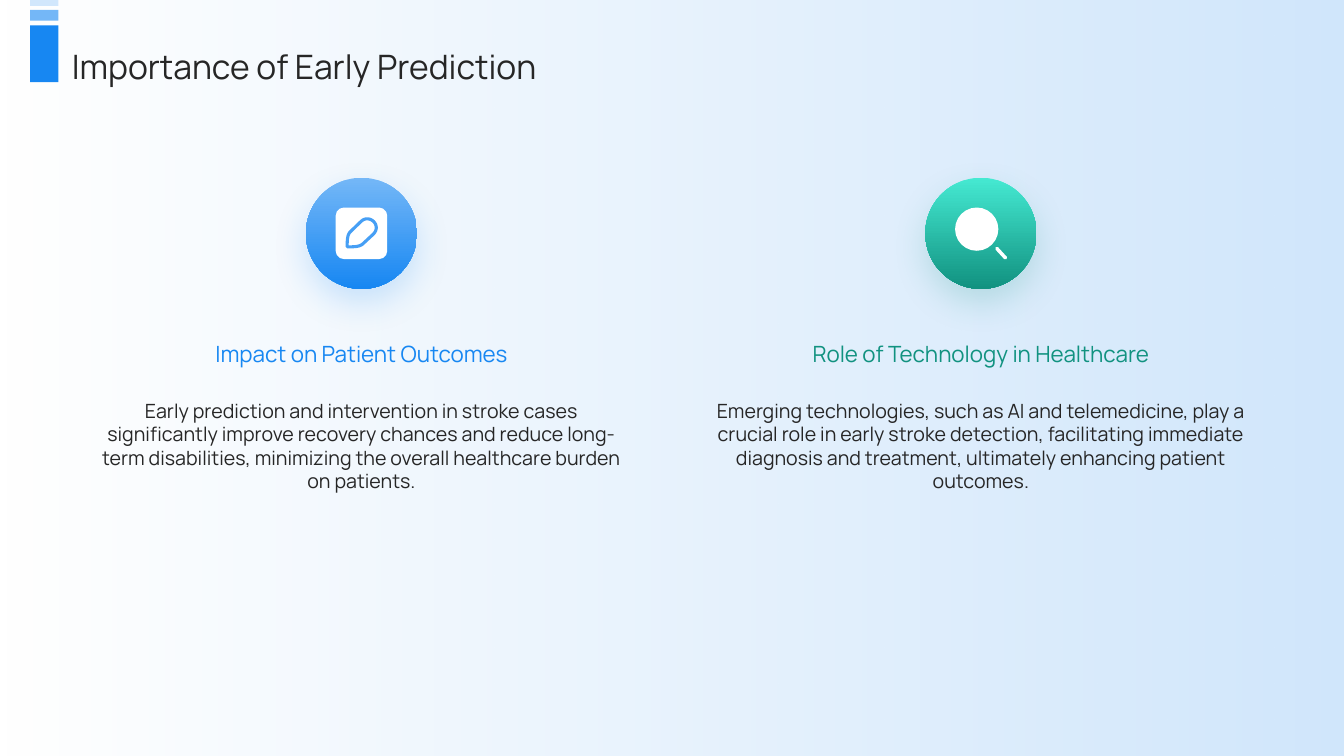
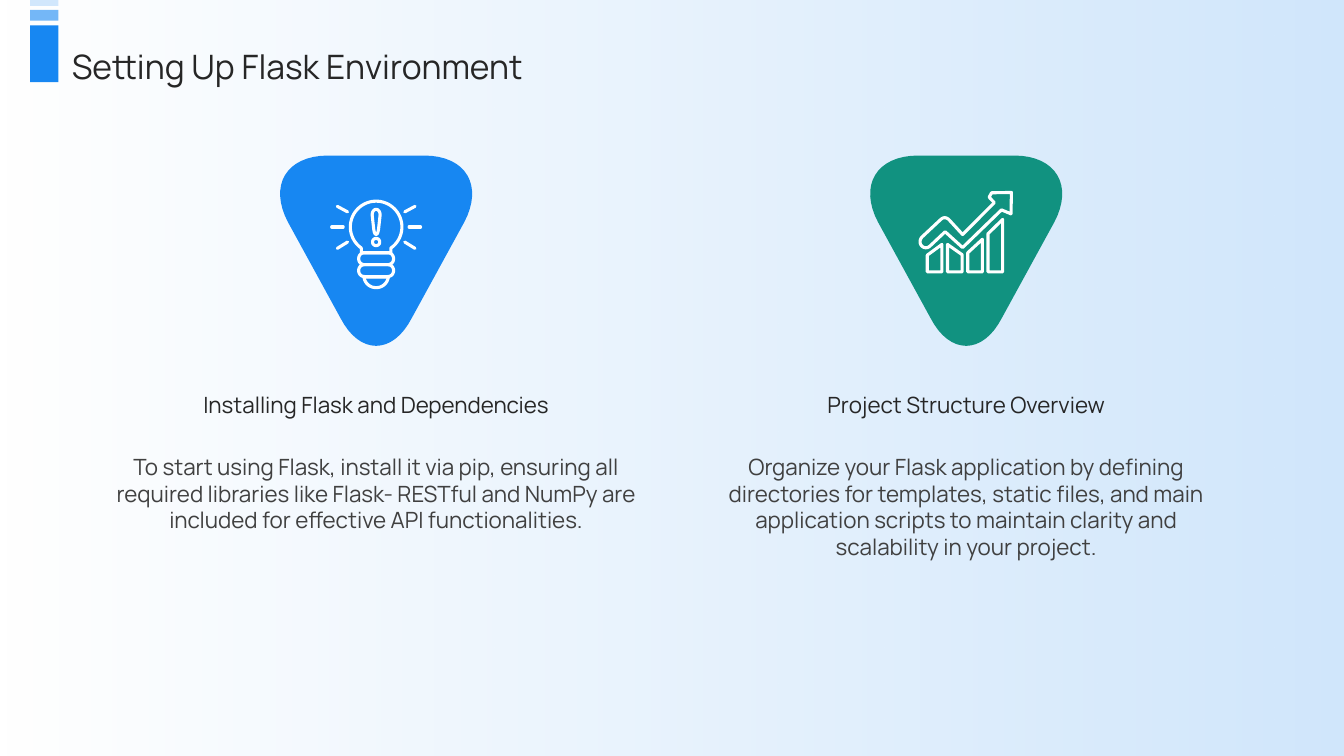
"""Builds two slides on early stroke prediction and on setting up Flask."""
from math import cos, radians, sin

from lxml.etree import SubElement
from pptx import Presentation
from pptx.dml.color import RGBColor
from pptx.enum.shapes import MSO_CONNECTOR, MSO_SHAPE
from pptx.enum.text import MSO_ANCHOR, PP_ALIGN
from pptx.oxml.ns import qn
from pptx.util import Cm, Pt

BLUE = RGBColor(0x17, 0x87, 0xF2)
LIGHT_BLUE = RGBColor(0x74, 0xB7, 0xF7)
MID_BLUE = RGBColor(0x46, 0x9F, 0xF5)
PALE_BLUE = RGBColor(0xD1, 0xE7, 0xFC)
GREEN = RGBColor(0x11, 0x92, 0x80)
LIGHT_GREEN = RGBColor(0x45, 0xE9, 0xD2)
WHITE = RGBColor(0xFF, 0xFF, 0xFF)
DARK = RGBColor(0x26, 0x26, 0x26)
GREY = RGBColor(0x40, 0x40, 0x40)
FONT = "Manrope"
STROKE = Pt(2.2)
WIDTH, HEIGHT = 33.87, 19.05


def paint(sp, fill=None, line=None):
    """Give a shape a flat fill and outline, either of which may be absent."""
    sp.shadow.inherit = False
    for part, color in ((sp.fill, fill), (sp.line.fill, line)):
        if color is None:
            part.background()
        else:
            part.solid()
            part.fore_color.rgb = color
    if line is not None:
        sp.line.width = STROKE
        sp.element.spPr.find(qn("a:ln")).set("cap", "rnd")
    return sp


def trace(s, x, y, paths, fill=None, line=None):
    """Draw closed paths of points and cubic curves as one shape, in cm from (x, y)."""
    builder = None
    for path in paths:
        points = [path[0]]
        for step in path[1:]:
            if len(step) == 2:
                points.append(step)
                continue
            controls = [points[-1], step[:2], step[2:4], step[4:]]
            for i in range(1, 17):
                t = i / 16
                weights = ((1 - t) ** 3, 3 * t * (1 - t) ** 2, 3 * t * t * (1 - t), t ** 3)
                points.append(tuple(sum(w * c[k] for w, c in zip(weights, controls))
                                    for k in (0, 1)))
        points = [(Cm(x + px), Cm(y + py)) for px, py in points]
        if builder is None:
            builder = s.shapes.build_freeform(*points[0])
        else:
            builder.move_to(*points[0])
        builder.add_line_segments(points[1:], close=True)
    return paint(builder.convert_to_shape(), fill, line)


TRIANGLE = [(1.21, 0), (2.27, 0, 2.71, 0.76, 2.22, 1.68), (0.9, 4.09),
            (0.42, 5.03, -0.42, 5.03, -0.9, 4.09), (-2.22, 1.68),
            (-2.71, 0.76, -2.27, 0, -1.21, 0)]
PENCIL = [(-0.28, -0.04), (-0.01, -0.3), (0.2, -0.5, 0.52, -0.2, 0.3, 0.02), (0.03, 0.27),
          (-0.06, 0.35, -0.25, 0.34, -0.36, 0.34), (-0.36, 0.2, -0.36, 0.04, -0.28, -0.04)]
EXCLAMATION = [(-0.1, 1.5), (-0.1, 1.31, 0.1, 1.31, 0.1, 1.5), (0.06, 1.86),
               (0.04, 2.03, -0.04, 2.03, -0.06, 1.86)]
BULB_TIP = [(-0.31, 3.06), (-0.25, 3.42, 0.25, 3.42, 0.31, 3.06)]
GROWTH_ARROW = [(1.14, 0.93), (1.13, 1.47), (0.89, 1.37), (-0.09, 2.32), (-0.53, 1.92),
                (-0.91, 2.28), (-1.05, 2.41, -1.25, 2.23, -1.12, 2.06), (-0.65, 1.62),
                (-0.58, 1.55, -0.5, 1.55, -0.43, 1.62), (-0.09, 1.99), (0.71, 1.19),
                (0.58, 1.05), (0.64, 0.94)]
BAR_TOPS = [(2.51, 2.24), (2.24, 2.5), (2.45, 2.11), (1.97, 1.61)]
RAYS = [(0.72, 1.42, 0.98, 1.28), (0.83, 1.8, 1.12, 1.8), (0.72, 2.18, 0.98, 2.34)]
MARKS = [(0.64, 1.43, BLUE), (0.25, 0.27, LIGHT_BLUE), (0, 0.15, PALE_BLUE)]

DECK = [
    ("Importance of Early Prediction", 13.51, 7.72, 10.05, 14, DARK, [
        (9.11, BLUE, "Impact on Patient Outcomes",
         "Early prediction and intervention in stroke cases significantly improve recovery "
         "chances and reduce long- term disabilities, minimizing the overall healthcare "
         "burden on patients."),
        (24.72, GREEN, "Role of Technology in Healthcare",
         "Emerging technologies, such as AI and telemedicine, play a crucial role in early "
         "stroke detection, facilitating immediate diagnosis and treatment, ultimately "
         "enhancing patient outcomes."),
    ]),
    ("Setting Up Flask Environment", 13.1, 9.01, 11.41, 16, GREY, [
        (9.48, DARK, "Installing Flask and Dependencies",
         "To start using Flask, install it via pip, ensuring all required libraries like "
         "Flask- RESTful and NumPy are included for effective API functionalities."),
        (24.35, DARK, "Project Structure Overview",
         "Organize your Flask application by defining directories for templates, static "
         "files, and main application scripts to maintain clarity and scalability in your "
         "project."),
    ]),
]

prs = Presentation()
prs.slide_width, prs.slide_height = Cm(WIDTH), Cm(HEIGHT)
slides = []

for title, width, head_top, body_top, body_size, body_color, columns in DECK:
    s = prs.slides.add_slide(prs.slide_layouts[6])
    slides.append(s)
    sp = paint(s.shapes.add_shape(MSO_SHAPE.FLOWCHART_PROCESS, 0, 0, Cm(WIDTH), Cm(HEIGHT)))
    sp.fill.gradient()
    sp.fill.gradient_angle = 180
    for stop in sp.fill.gradient_stops:
        stop.color.rgb = PALE_BLUE
    clear = list(sp.element.iter(qn("a:srgbClr")))[-1]
    SubElement(clear, qn("a:alpha"), val="0")

    for top, height, color in MARKS:
        paint(s.shapes.add_shape(MSO_SHAPE.RECTANGLE, Cm(0.76), Cm(top),
                                 Cm(0.71), Cm(height)), color)

    texts = [(title, 1.56, 1.02, 31.9, 1.17, 24, DARK, MSO_ANCHOR.TOP, PP_ALIGN.LEFT)]
    for cx, color, heading, body in columns:
        left = cx - width / 2
        texts.append((heading, left, head_top, width, 2.37, 16, color,
                      MSO_ANCHOR.MIDDLE, PP_ALIGN.CENTER))
        texts.append((body, left, body_top, width, 5, body_size, body_color,
                      MSO_ANCHOR.TOP, PP_ALIGN.CENTER))
    for text, x, y, w, h, size, color, anchor, align in texts:
        tf = s.shapes.add_textbox(Cm(x), Cm(y), Cm(w), Cm(h)).text_frame
        tf.word_wrap = True
        tf.vertical_anchor = anchor
        if text != title:
            tf.margin_left = tf.margin_right = tf.margin_top = tf.margin_bottom = 0
        p = tf.paragraphs[0]
        p.alignment = align
        r = p.add_run()
        r.text = text
        r.font.name, r.font.size = FONT, Pt(size)
        r.font.color.rgb = color

prediction, setup = slides
pencil_x, lens_x = [column[0] for column in DECK[0][-1]]
bulb_x, chart_x = [column[0] for column in DECK[1][-1]]
badge_y, triangle_y = 5.88, 3.92

for cx, light, deep in ((pencil_x, LIGHT_BLUE, BLUE), (lens_x, LIGHT_GREEN, GREEN)):
    sp = paint(prediction.shapes.add_shape(MSO_SHAPE.OVAL, Cm(cx - 1.4), Cm(badge_y - 1.4),
                                           Cm(2.8), Cm(2.8)))
    sp.fill.gradient()
    sp.fill.gradient_angle = 270
    for stop, color in zip(sp.fill.gradient_stops, (light, deep)):
        stop.color.rgb = color
    effects = sp.element.spPr.find(qn("a:effectLst"))
    shadow = SubElement(effects, qn("a:outerShdw"), blurRad=str(Pt(25)), dist=str(Pt(10)),
                        dir="5400000", algn="t", rotWithShape="0")
    tint = SubElement(shadow, qn("a:srgbClr"), val=str(deep))
    SubElement(tint, qn("a:alpha"), val="20000")

sp = paint(prediction.shapes.add_shape(MSO_SHAPE.ROUNDED_RECTANGLE, Cm(pencil_x - 0.65),
                                       Cm(badge_y - 0.65), Cm(1.3), Cm(1.3)), WHITE)
sp.adjustments[0] = 0.16
trace(prediction, pencil_x, badge_y, [PENCIL], line=MID_BLUE)
paint(prediction.shapes.add_shape(MSO_SHAPE.OVAL, Cm(lens_x - 0.65), Cm(badge_y - 0.65),
                                  Cm(1.09), Cm(1.09)), WHITE)
c = prediction.shapes.add_connector(MSO_CONNECTOR.STRAIGHT, Cm(lens_x + 0.4), Cm(badge_y + 0.38),
                                    Cm(lens_x + 0.62), Cm(badge_y + 0.62))
c.line.color.rgb = WHITE
c.line.width = Pt(2.5)
c.element.spPr.find(qn("a:ln")).set("cap", "rnd")
SubElement(c.element.spPr, qn("a:effectLst"))

glass = [(-0.65 * sin(radians(a)), 1.8 + 0.65 * cos(radians(a))) for a in range(35, 326, 5)]
bulb = [[(-0.37, 2.45), *glass, (0.37, 2.45)], BULB_TIP, EXCLAMATION]
for half, top, radius in ((0.29, 2.45, 0.15), (0.29, 2.75, 0.15), (0, 2.09, 0.09)):
    bulge, bottom = half + radius * 4 / 3, top + 2 * radius
    bulb.append([(-half, top), (half, top), (bulge, top, bulge, bottom, half, bottom),
                 (-half, bottom), (-bulge, bottom, -bulge, top, -half, top)])
for x1, y1, x2, y2 in RAYS:
    for side in (-1, 1):
        bulb.append([(side * x1, y1), (side * x2, y2)])

chart = [GROWTH_ARROW]
for i, (left_top, right_top) in enumerate(BAR_TOPS):
    left = -0.98 + 0.51 * i
    right = left + 0.37
    chart.append([(left, left_top), (right, right_top), (right, 2.93), (left, 2.93)])

for cx, color, icon in ((bulb_x, BLUE, bulb), (chart_x, GREEN, chart)):
    trace(setup, cx, triangle_y, [TRIANGLE], color)
    trace(setup, cx, triangle_y, icon, line=WHITE)

prs.save("out.pptx")
